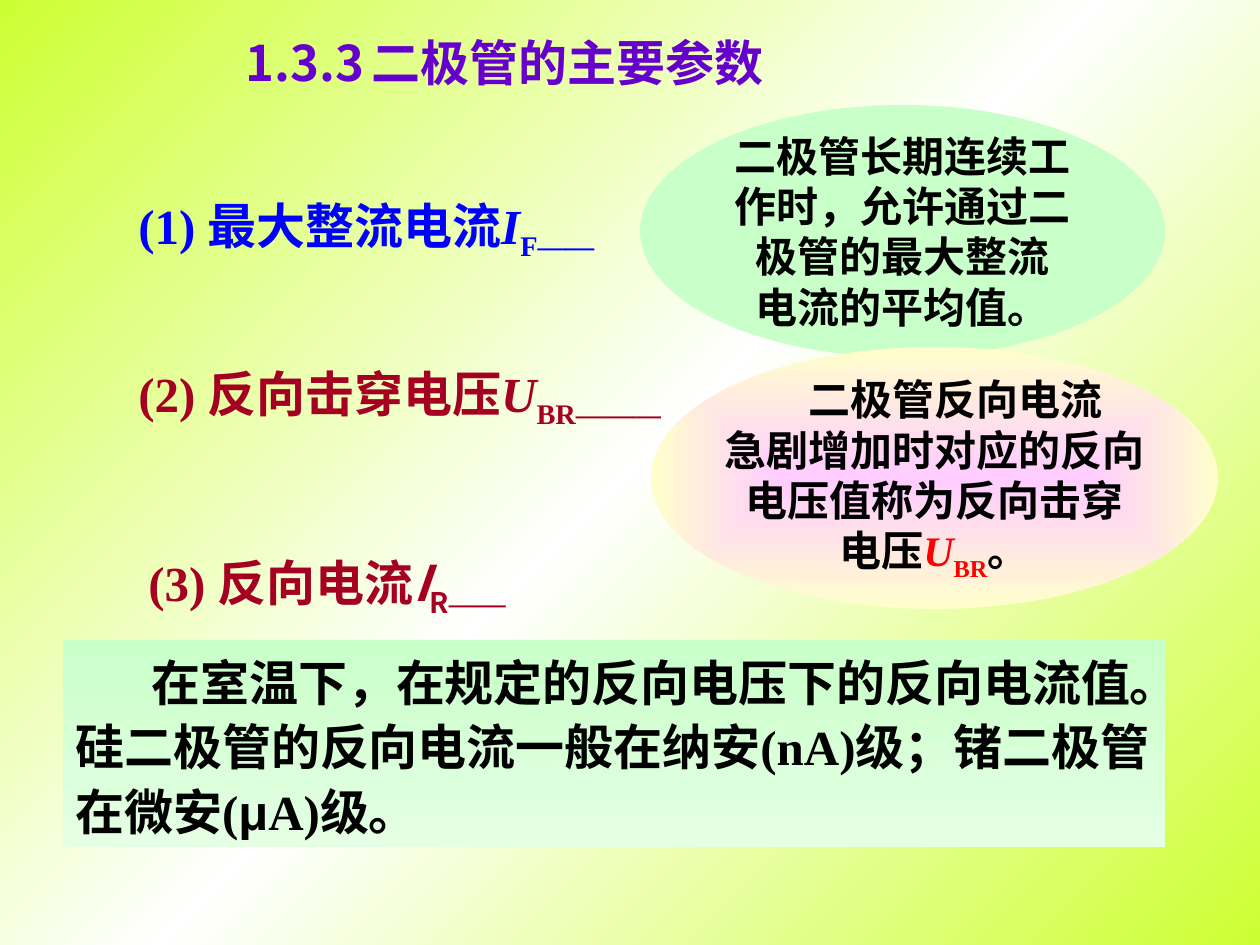
"""Build a slide on the main parameters of a diode."""
from dataclasses import dataclass
from typing import Optional

from lxml.etree import SubElement
from pptx import Presentation
from pptx.dml.color import RGBColor
from pptx.enum.shapes import MSO_SHAPE
from pptx.enum.text import MSO_ANCHOR, MSO_AUTO_SIZE, PP_ALIGN
from pptx.oxml.ns import qn
from pptx.util import Emu, Pt

PX = 914400 / 126
SERIF = "Times New Roman"
SANS = "Noto Sans CJK SC"
BLACK, BLUE, CRIMSON, RED, VIOLET = "000000", "0000FF", "A50021", "FF0000", "6600CC"
MINT = "C9FFC9"


@dataclass(frozen=True)
class Box:
    """Place and size in px."""
    left: int
    top: int
    width: int
    height: int


@dataclass(frozen=True)
class Run:
    """Text with the format that differs from its paragraph."""
    text: str
    italic: bool = False
    subscript: bool = False
    font: Optional[str] = None
    color: Optional[str] = None


@dataclass(frozen=True)
class Line:
    """A paragraph with its indents in px."""
    runs: tuple[Run, ...]
    margin: int = 0
    indent: int = 0
    tab: int = 0


@dataclass(frozen=True)
class Parameter:
    """A numbered diode parameter."""
    box: Box
    color: str
    runs: tuple[Run, ...]


PARAMETERS = (
    Parameter(Box(126, 189, 557, 79), BLUE, (
        Run("(1) 最大整流电流"), Run("I", italic=True), Run("F——", subscript=True))),
    Parameter(Box(126, 357, 577, 178), CRIMSON, (
        Run("(2) 反向击穿电压"), Run("U", italic=True), Run("BR———", subscript=True))),
    Parameter(Box(136, 546, 536, 79), CRIMSON, (
        Run("(3) "), Run("反向电流", font=SANS), Run("I", italic=True, font=SANS),
        Run("R", subscript=True, font=SANS), Run("——", subscript=True))),
)
CURRENT_NOTE = tuple(Line((Run(text),)) for text in (
    "二极管长期连续工", "作时，允许通过二", "极管的最大整流", "电流的平均值。"))
VOLTAGE_NOTE = (
    Line((Run("二极管反向电流"),), margin=42),
    Line((Run("急剧增加时对应的反向"),)),
    Line((Run("电压值称为反向击穿"),)),
    Line((Run("电压"), Run("U", italic=True, color=RED),
          Run("BR", subscript=True, color=RED), Run("。"))),
)
REVERSE_NOTE = (Line((
    Run("在室温下，在规定的反向电压下的反向电流值。硅二极管的反向电流一般在纳安(nA)级；锗二极管在微安("),
    Run("μ", font="Arial"), Run("A)级。")), indent=76),)


def px(length: int) -> Emu:
    """Turn px into EMU."""
    return Emu(round(length * PX))


def rgb(color: str) -> RGBColor:
    """Turn a hex string into a colour."""
    return RGBColor.from_string(color)


def place(box: Box) -> tuple[Emu, Emu, Emu, Emu]:
    """Give the box in EMU."""
    return px(box.left), px(box.top), px(box.width), px(box.height)


def write(shape, lines: tuple[Line, ...], *, size: int = 28, color: str = BLACK,
          font: str = SERIF, align=PP_ALIGN.LEFT, anchor=MSO_ANCHOR.TOP,
          wrap: bool = True, spacing: float = 1.0) -> None:
    """Write bold lines into a shape."""
    frame = shape.text_frame
    frame.auto_size = MSO_AUTO_SIZE.NONE
    frame.word_wrap = wrap
    frame.vertical_anchor = anchor
    for number, line in enumerate(lines):
        paragraph = frame.add_paragraph() if number else frame.paragraphs[0]
        paragraph.alignment = align
        paragraph.line_spacing = spacing
        properties = paragraph._p.get_or_add_pPr()
        properties.set("marL", str(px(line.margin)))
        properties.set("indent", str(px(line.indent)))
        if line.tab:
            tabs = SubElement(properties, qn("a:tabLst"))
            SubElement(tabs, qn("a:tab"), pos=str(px(line.tab)), algn="l")
        for part in line.runs:
            run = paragraph.add_run()
            run.text = part.text
            run.font.size = Pt(size)
            run.font.bold = True
            run.font.italic = part.italic
            run.font.color.rgb = rgb(part.color or color)
            run.font.name = part.font or font
            style = run._r.get_or_add_rPr()
            SubElement(style, qn("a:ea"), typeface=SANS)
            if part.subscript:
                style.set("baseline", "-25000")


def fill_gradient(fill, element, colors: tuple[str, ...],
                  angle: Optional[int] = None) -> None:
    """Fill with evenly spaced stops, from the centre if no angle is given."""
    fill.gradient()
    gradient = element.find(".//" + qn("a:gradFill"))
    gradient.clear()
    gradient.set("rotWithShape", "1")
    stops = SubElement(gradient, qn("a:gsLst"))
    for number, color in enumerate(colors):
        position = 100000 * number // (len(colors) - 1)
        stop = SubElement(stops, qn("a:gs"), pos=str(position))
        SubElement(stop, qn("a:srgbClr"), val=color)
    if angle is None:
        center = SubElement(gradient, qn("a:path"), path="rect")
        SubElement(center, qn("a:fillToRect"),
                   dict.fromkeys(("l", "t", "r", "b"), "50000"))
    else:
        SubElement(gradient, qn("a:lin"), ang=str(angle * 60000), scaled="0")


def add_panel(slide, kind: MSO_SHAPE, box: Box, colors: tuple[str, ...],
              angle: Optional[int] = None):
    """Add an outline-free panel in one colour or a gradient."""
    panel = slide.shapes.add_shape(kind, *place(box))
    panel.shadow.inherit = False
    panel.line.fill.background()
    if len(colors) == 1:
        panel.fill.solid()
        panel.fill.fore_color.rgb = rgb(colors[0])
    else:
        fill_gradient(panel.fill, panel.element, colors, angle)
    return panel


def add_note(slide, box: Box, colors: tuple[str, ...], lines: tuple[Line, ...]) -> None:
    """Add an ellipse that explains a parameter."""
    note = add_panel(slide, MSO_SHAPE.OVAL, box, colors)
    write(note, lines, size=24, align=PP_ALIGN.CENTER,
          anchor=MSO_ANCHOR.MIDDLE, wrap=False)


def add_parameter(slide, parameter: Parameter) -> None:
    """Add the heading of one parameter."""
    heading = slide.shapes.add_textbox(*place(parameter.box))
    write(heading, (Line(parameter.runs),), color=parameter.color)


def main() -> None:
    """Build and save the slide."""
    deck = Presentation()
    deck.slide_width, deck.slide_height = px(1260), px(945)
    slide = deck.slides.add_slide(deck.slide_layouts[5])
    fill_gradient(slide.background.fill, slide.element, ("CCFF33", "FFFFFF", "CCFF33"), 45)

    title = slide.shapes.title
    title.left, title.top, title.width, title.height = place(Box(233, 26, 627, 72))
    write(title, (Line((Run("1.3.3\t二极管的主要参数"),), tab=153),),
          color=VIOLET, font=SANS)

    for parameter in PARAMETERS:
        add_parameter(slide, parameter)
    add_note(slide, Box(640, 105, 525, 252), (MINT,), CURRENT_NOTE)
    add_note(slide, Box(651, 347, 567, 262), ("FFCCFF", "FFFFCC"), VOLTAGE_NOTE)
    reverse_note = add_panel(slide, MSO_SHAPE.RECTANGLE, Box(63, 640, 1102, 207),
                             (MINT, "E4FFE4"), 90)
    write(reverse_note, REVERSE_NOTE, spacing=1.1)
    deck.save("out.pptx")


if __name__ == "__main__":
    main()
